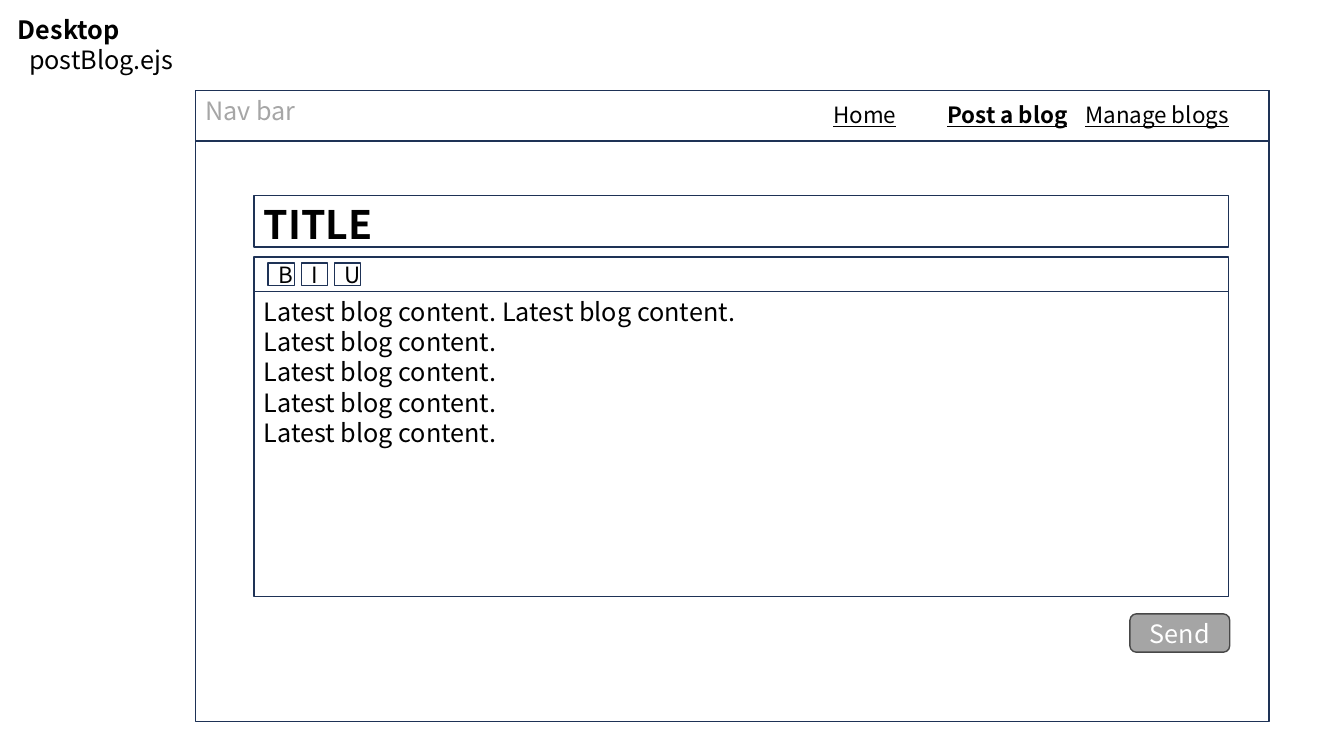
from pptx import Presentation
from pptx import util as u
from pptx.dml.color import RGBColor
from pptx.enum import shapes, text

COLORS = {"navy": "1E3256", "black": "000000", "muted": "A6A6A6",
          "button": "A5A5A5", "edge": "484848", "white": "FFFFFF"}
COLUMNS, ROWS = 80, 45


class Wireframe:
    """Holds the style and the current page; places are in grid columns and rows."""

    font_name = "Noto Sans CJK SC"

    def __init__(self, deck):
        self.page = deck.slides.add_slide(deck.slide_layouts[6])
        self.column = deck.slide_width / COLUMNS
        self.row = deck.slide_height / ROWS

    def place(self, left, top, width, height):
        return [round(n * unit) for n, unit in zip(
            (left, top, width, height), (self.column, self.row) * 2)]

    def fill_text(self, box, lines, color="black", align="LEFT", anchor="TOP",
                  **format_values):
        frame = box.text_frame
        frame.word_wrap = True
        frame.vertical_anchor = text.MSO_ANCHOR[anchor]
        values = {"name": self.font_name, "size": u.Pt(18), **format_values}
        for index, line in enumerate(lines):
            para = frame.add_paragraph() if index else frame.paragraphs[0]
            para.alignment = text.PP_ALIGN[align]
            span = para.add_run()
            span.text = line
            span.font.color.rgb = RGBColor.from_string(COLORS[color])
            for name, value in values.items():
                setattr(span.font, name, value)

    def panel(self, place, lines=(), fill=None, line="navy", kind="RECTANGLE",
              **format_values):
        box = self.page.shapes.add_shape(
            shapes.MSO_SHAPE[kind], *self.place(*place))
        box.shadow.inherit = False
        if fill:
            box.fill.solid()
            box.fill.fore_color.rgb = RGBColor.from_string(COLORS[fill])
        else:
            box.fill.background()
        box.line.color.rgb = RGBColor.from_string(COLORS[line])
        box.line.width = u.Pt(1)
        self.fill_text(box, lines, **format_values)

    def label(self, place, lines, **format_values):
        box = self.page.shapes.add_textbox(*self.place(*place))
        self.fill_text(box, lines, **format_values)
        box.text_frame.auto_size = text.MSO_AUTO_SIZE.SHAPE_TO_FIT_TEXT
        return box


def main():
    deck = Presentation()
    deck.slide_width, deck.slide_height = u.Inches(13.33), u.Inches(7.5)
    page = Wireframe(deck)
    frame_left, frame_top, frame_width = 11.64, 5.4, 63.9
    form_left, form_width = 15.12, 58.02
    centred = {"align": "CENTER", "anchor": "MIDDLE"}

    # Blog content and browser frame
    sentence = "Latest blog content."
    page.panel((form_left, 17.34, form_width, 18.18),
               [f"{sentence} {sentence}"] + [sentence] * 4)
    page.panel((frame_left, frame_top, frame_width, 37.56))

    # Page name, with the file name indented below
    heading = page.label((0.48, 0.54, 11.7, 4.26), ["Desktop", "postBlog.ejs"])
    name, file_name = heading.text_frame.paragraphs
    name.runs[0].font.bold = True
    file_name._p.get_or_add_pPr().set("marL", str(u.Inches(0.11)))

    # Send button
    page.panel((67.26, 36.54, 5.94, 2.28), ["Send"], fill="button", line="edge",
               kind="ROUNDED_RECTANGLE", color="white", **centred)

    # Navigation bar
    page.panel((frame_left, frame_top, frame_width, 3), ["Nav bar"], color="muted")
    for link, left, width, bold in (("Home", 49.02, 6.24, False),
                                    ("Post a blog", 55.8, 9.3, True),
                                    ("Manage blogs", 64.02, 10.26, False)):
        page.label((left, 5.7, width, 2.22), [link], size=u.Pt(16),
                   bold=bold, underline=True)

    # Title field and formatting toolbar
    page.panel((form_left, 11.64, form_width, 3.06), ["TITLE"],
               size=u.Pt(28), bold=True)
    page.panel((form_left, 15.3, form_width, 2.04))
    for index, letter in enumerate("BIU"):
        page.panel((15.96 + 1.98 * index, 15.66, 1.56, 1.32), [letter],
                   size=u.Pt(16), **centred)

    deck.save("out.pptx")


if __name__ == "__main__":
    main()
